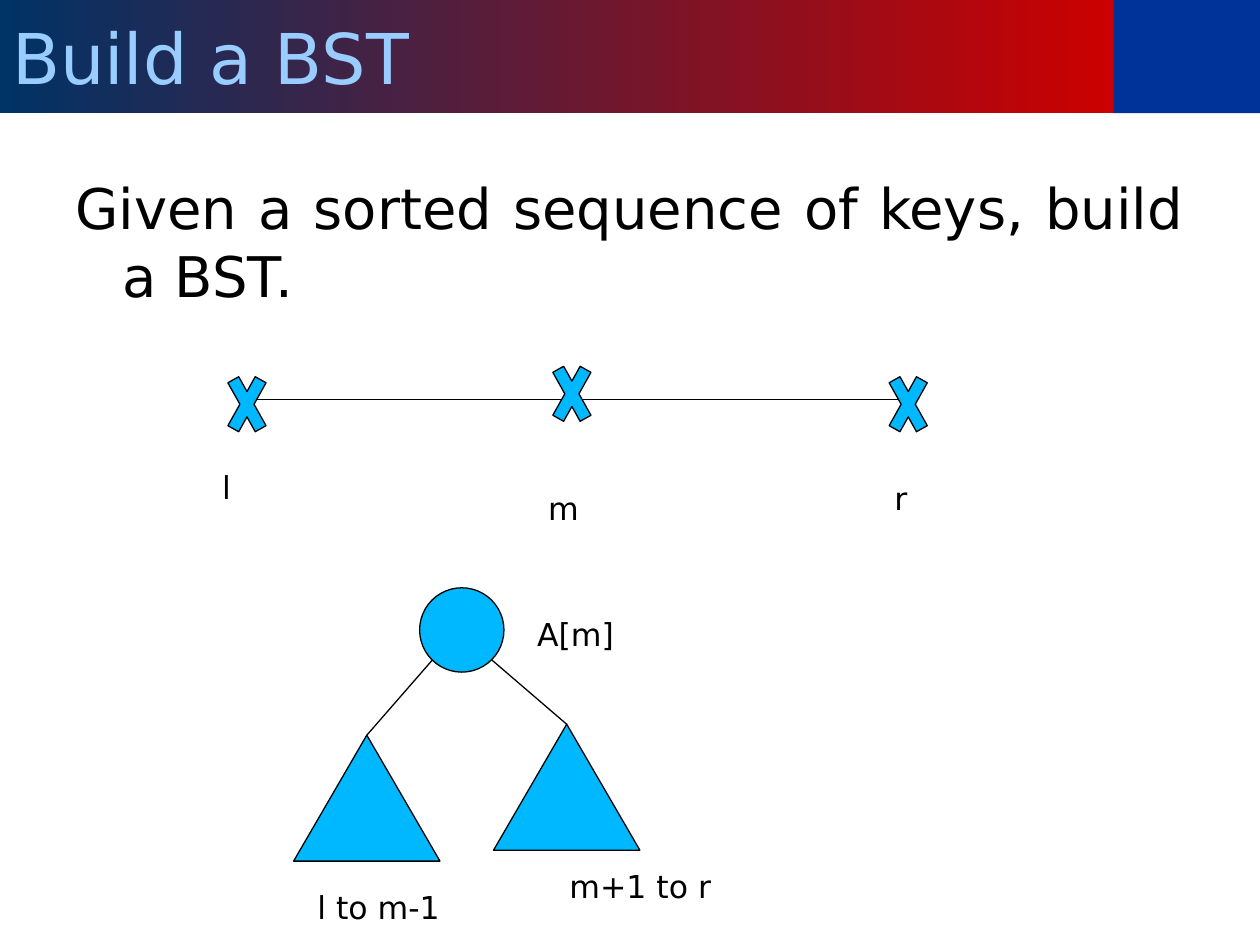
"""Build a slide about making a binary search tree from sorted keys."""
import pptx
import pptx.dml.color
import pptx.enum.shapes
import pptx.enum.text
import pptx.oxml
import pptx.oxml.ns
import pptx.util

Cm, Pt = pptx.util.Cm, pptx.util.Pt
RGBColor = pptx.dml.color.RGBColor
MSO_SHAPE = pptx.enum.shapes.MSO_SHAPE
PP_ALIGN = pptx.enum.text.PP_ALIGN

BLACK = RGBColor(0x00, 0x00, 0x00)
CYAN = RGBColor(0x00, 0xB8, 0xFF)
BLUE = RGBColor(0x00, 0x33, 0x99)
NAVY = RGBColor(0x00, 0x33, 0x66)
RED = RGBColor(0xCC, 0x00, 0x00)
SKY = RGBColor(0x99, 0xCC, 0xFF)
FONT = "DejaVu Sans"
LINE_WIDTH = Pt(0.75)


def box(x, y, w, h):
    return Cm(x), Cm(y), Cm(w), Cm(h)


def write(sp, text, size, color):
    tf = sp.text_frame
    tf.word_wrap = True
    p = tf.paragraphs[0]
    p.text = text
    p.font.name = FONT
    p.font.size = Pt(size)
    p.font.color.rgb = color
    return p


def add_text(s, text, x, y, w, h, size=18):
    return write(s.shapes.add_textbox(*box(x, y, w, h)), text, size, BLACK)


def add_shape(s, kind, x, y, w, h, fill=CYAN, outlined=True):
    sp = s.shapes.add_shape(kind, *box(x, y, w, h))
    sp.shadow.inherit = False
    sp.fill.solid()
    sp.fill.fore_color.rgb = fill
    if outlined:
        sp.line.color.rgb = BLACK
        sp.line.width = LINE_WIDTH
    else:
        sp.line.fill.background()
    return sp


def add_line(s, x1, y1, x2, y2):
    line = s.shapes.add_connector(pptx.enum.shapes.MSO_CONNECTOR.STRAIGHT,
                                  Cm(x1), Cm(y1), Cm(x2), Cm(y2))
    line.line.color.rgb = BLACK
    line.line.width = LINE_WIDTH
    spPr = line._element.spPr
    spPr.append(pptx.oxml.parse_xml(
        "<a:effectLst %s/>" % pptx.oxml.ns.nsdecls("a")))


def add_header(s):
    add_shape(s, MSO_SHAPE.RECTANGLE, 22.43, 0, 2.97, 2.28, BLUE, False)
    sp = add_shape(s, MSO_SHAPE.RECTANGLE, 0, 0, 22.45, 2.28, NAVY, False)
    sp.fill.gradient()
    sp.fill.gradient_angle = 0
    for stop, color in zip(sp.fill.gradient_stops, (NAVY, RED)):
        stop.color.rgb = color
    write(sp, "Build a BST", 40, SKY).alignment = PP_ALIGN.LEFT


def add_body(s):
    p = add_text(s, "Given a sorted sequence of keys, build a BST.",
                 1.27, 3.38, 22.86, 13.64, 32)
    p.alignment = PP_ALIGN.JUSTIFY
    p.space_before = Pt(8)
    pPr = p._p.get_or_add_pPr()
    pPr.set("marL", str(Cm(0.95)))
    pPr.set("indent", str(Cm(-0.95)))


def add_key_line(s):
    add_line(s, 4.87, 8.05, 18.42, 8.05)
    for x, y in ((11, 6.99), (4.45, 7.2), (17.78, 7.2)):
        add_shape(s, MSO_SHAPE.MATH_MULTIPLY, x, y, 1.06, 1.9)
    for text, x, y, w in (("l", 4.23, 9.31, 0.85), ("r", 17.78, 9.53, 1.06),
                          ("m", 10.8, 9.74, 1.27)):
        add_text(s, text, x, y, w, 1.02)


def add_tree(s):
    side, height = 2.95, 2.54
    subtrees = (("l to m-1", 5.92, 14.82, 8.72, 6.15, 17.78, 3.1),
                ("m+1 to r", 9.95, 14.6, 9.91, 11.23, 17.35, 3.43))
    add_shape(s, MSO_SHAPE.OVAL, 8.46, 11.85, 1.7, 1.7)
    add_text(s, "A[m]", 10.58, 12.28, 2.16, 1.02)
    for text, x, y, root_x, text_x, text_y, w in subtrees:
        add_shape(s, MSO_SHAPE.ISOSCELES_TRIANGLE, x, y, side, height)
        add_line(s, root_x, 13.3, x + side / 2, y)
        add_text(s, text, text_x, text_y, w, 1.02)


def main():
    prs = pptx.Presentation()
    prs.slide_width, prs.slide_height = Cm(25.4), Cm(19.05)
    s = prs.slides.add_slide(prs.slide_layouts[6])
    add_header(s)
    add_body(s)
    add_key_line(s)
    add_tree(s)
    prs.save("out.pptx")


main()
